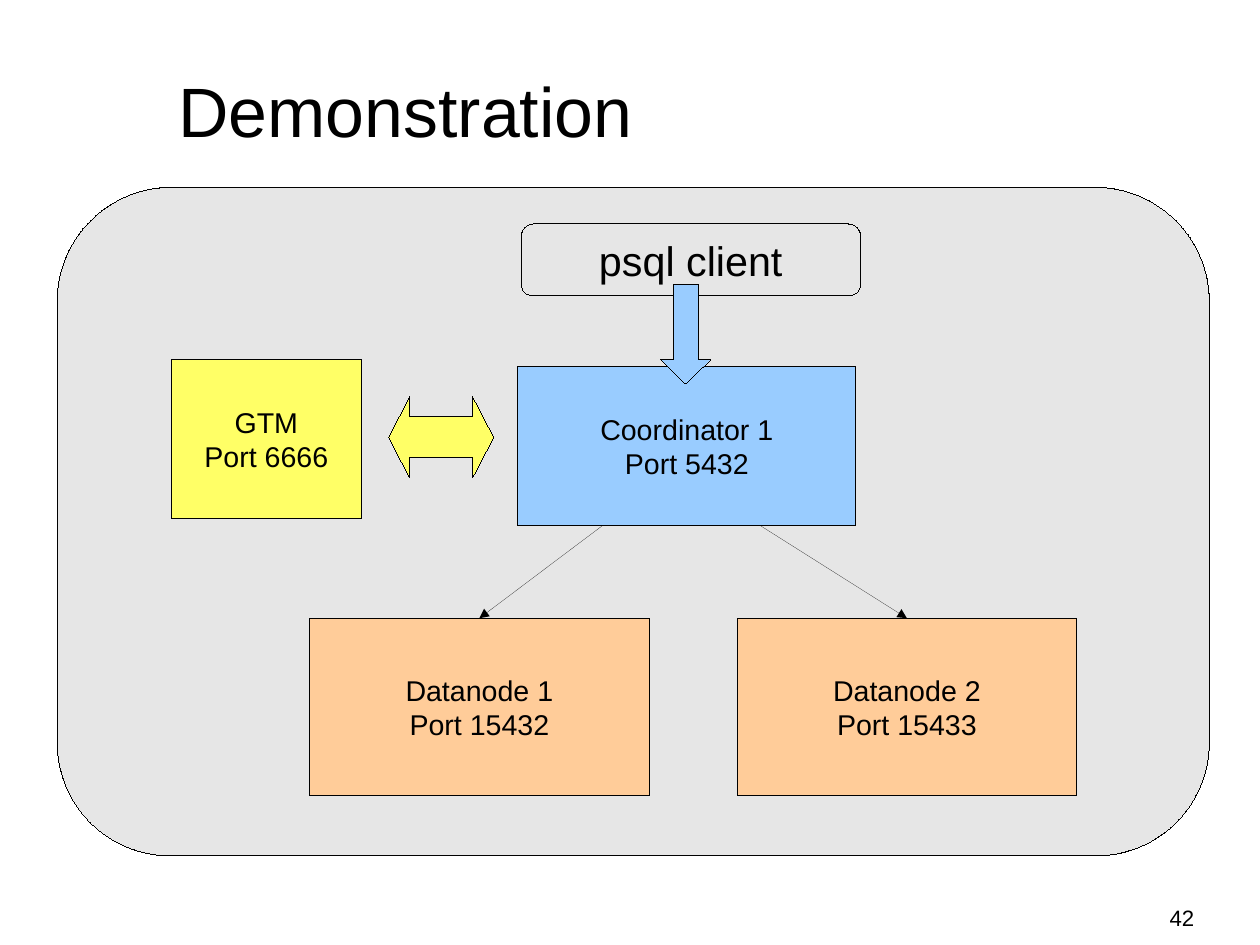
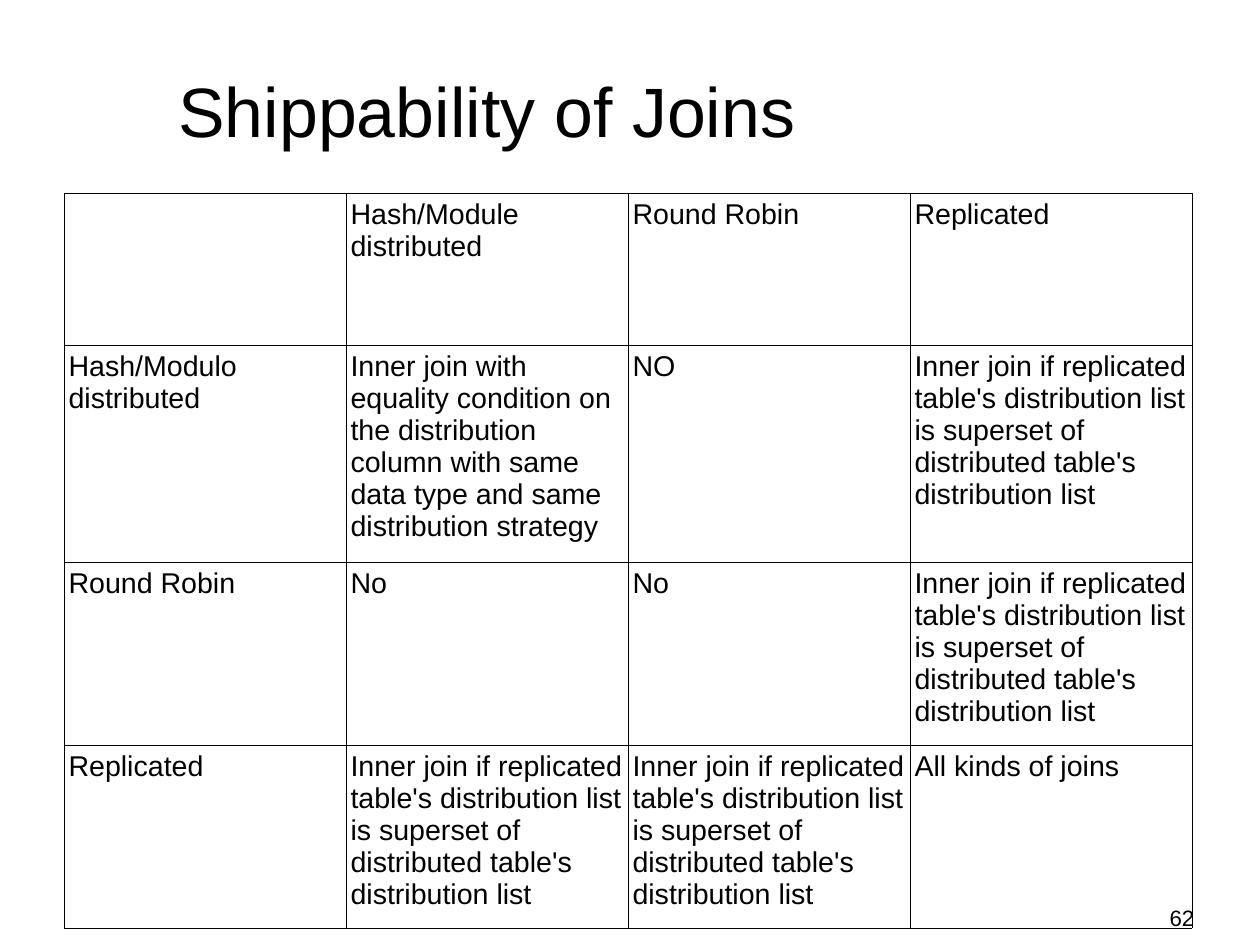
from dataclasses import dataclass
from typing import Any, NamedTuple
from lxml.etree import SubElement
from pptx import Presentation
from pptx.dml.color import RGBColor
from pptx.enum.shapes import MSO_CONNECTOR, MSO_SHAPE
from pptx.enum.text import MSO_ANCHOR, PP_ALIGN
from pptx.oxml.ns import qn
from pptx.util import Inches, Pt

WIDTH, HEIGHT = Pt(793.75), Pt(595.25)
FONT = "Arial"
BLACK, GRAY, BLUE = "000000", "E6E6E6", "99CCFF"
PEACH, YELLOW = "FFCC99", "FFFF66"
HAIR, RULE = Pt(0.01), Pt(0.06)


class Area(NamedTuple):
    """Left, top, width and height in percent of the slide."""
    left: float
    top: float
    width: float
    height: float


@dataclass(frozen=True)
class Block:
    """A filled and outlined shape with centred lines of text."""
    kind: MSO_SHAPE
    area: Area
    fill: str
    lines: tuple[str, ...] = ()
    size: float = 18
    adjust: tuple[float, ...] = ()


TITLE = Area(14.16, 3.26, 82.49, 16.69)
NUMBER = Area(71.48, 95.65, 23.31, 2.66)
GRID = Area(5.08, 20.44, 89.53, 73.16)
ROWS = (16.08, 21.28, 17.9, 17.9)
ROUND = (0.17,)
NODE = Area(24.58, 65.42, 26.94, 18.74)
STEP = 33.93
COORD = Area(41.09, 38.81, 26.85, 16.81)
STARTS = (47.82, 60.34)

BACK = (
    Block(MSO_SHAPE.ROUNDED_RECTANGLE, Area(4.54, 19.83, 91.44, 70.74), GRAY, adjust=ROUND),
    Block(MSO_SHAPE.ROUNDED_RECTANGLE, Area(41.37, 23.7, 26.94, 7.62), GRAY,
          ("psql client",), 26, ROUND),
    Block(MSO_SHAPE.RECTANGLE, COORD, BLUE, ("Coordinator 1", "Port 5432")),
    Block(MSO_SHAPE.DOWN_ARROW, Area(52.43, 30.11, 3.99, 10.52), BLUE, adjust=(0.5, 0.49)),
    Block(MSO_SHAPE.RECTANGLE, Area(13.61, 38.09, 15.06, 16.81), YELLOW, ("GTM", "Port 6666")),
    Block(MSO_SHAPE.LEFT_RIGHT_ARROW, Area(30.84, 41.96, 8.35, 8.59), YELLOW,
          adjust=(0.5, 0.26)),
)

SUPER = ("Inner join if replicated table's distribution list is superset of "
         "distributed table's distribution list")
EQUAL = ("Inner join with equality condition on the distribution column with same "
         "data type and same distribution strategy")
JOINS = (
    ("", "Hash/Module distributed", "Round Robin", "Replicated"),
    ("Hash/Modulo distributed", EQUAL, "NO", SUPER),
    ("Round Robin", "No", "No", SUPER),
    ("Replicated", SUPER, SUPER, "All kinds of joins"),
)


def paint(code: str) -> RGBColor:
    """Turn a hex string into a colour."""
    return RGBColor.from_string(code)


def across(share: float) -> int:
    """Turn a percentage of the slide width into a length."""
    return round(WIDTH * share / 100)


def down(share: float) -> int:
    """Turn a percentage of the slide height into a length."""
    return round(HEIGHT * share / 100)


def place(area: Area) -> tuple[int, int, int, int]:
    """Turn an area into lengths."""
    return across(area.left), down(area.top), across(area.width), down(area.height)


def write(frame: Any, lines: tuple[str, ...], size: float, align: PP_ALIGN) -> None:
    """Write one paragraph for each line."""
    for index, line in enumerate(lines):
        para = frame.add_paragraph() if index else frame.paragraphs[0]
        para.alignment = align
        run = para.add_run()
        run.text = line
        run.font.size = Pt(size)
        run.font.name = FONT
        run.font.color.rgb = paint(BLACK)


def label(slide: Any, area: Area, text: str, size: float, align: PP_ALIGN,
          anchor: MSO_ANCHOR) -> None:
    """Add a text box without insets."""
    frame = slide.shapes.add_textbox(*place(area)).text_frame
    frame.word_wrap = True
    frame.margin_left = frame.margin_right = frame.margin_top = frame.margin_bottom = 0
    frame.vertical_anchor = anchor
    write(frame, (text,), size, align)


def draw(slide: Any, block: Block) -> Any:
    """Add one block."""
    shape = slide.shapes.add_shape(block.kind, *place(block.area))
    shape.shadow.inherit = False
    for index, value in enumerate(block.adjust):
        shape.adjustments[index] = value
    shape.fill.solid()
    shape.fill.fore_color.rgb = paint(block.fill)
    shape.line.color.rgb = paint(BLACK)
    shape.line.width = HAIR
    frame = shape.text_frame
    frame.word_wrap = False
    frame.vertical_anchor = MSO_ANCHOR.MIDDLE
    write(frame, block.lines, block.size, PP_ALIGN.CENTER)
    return shape


def link(slide: Any, start: float, node: Any) -> None:
    """Draw an arrow from the coordinator's lower edge to the top of a node."""
    top = down(COORD.top + COORD.height)
    line = slide.shapes.add_connector(MSO_CONNECTOR.STRAIGHT, across(start), top,
                                      node.left + node.width // 2, node.top)
    line.end_connect(node, 0)
    line.line.color.rgb = paint(BLACK)
    line.line.width = HAIR
    props = line._element.spPr
    SubElement(props.find(qn("a:ln")), qn("a:tailEnd"), type="triangle")
    SubElement(props, qn("a:effectLst"))


def border(cell: Any) -> None:
    """Rule all four sides of a cell."""
    props = cell._tc.get_or_add_tcPr()
    for side in ("lnL", "lnR", "lnT", "lnB"):
        rule = SubElement(props, qn(f"a:{side}"), w=str(int(RULE)))
        SubElement(SubElement(rule, qn("a:solidFill")), qn("a:srgbClr"), val=BLACK)


def tabulate(slide: Any) -> None:
    """Add the table of joins."""
    table = slide.shapes.add_table(len(JOINS), len(JOINS[0]), *place(GRID)).table
    table.first_row = table.horz_banding = False
    for column in table.columns:
        column.width = across(GRID.width / len(JOINS[0]))
    for row, share, texts in zip(table.rows, ROWS, JOINS):
        row.height = down(share)
        for cell, text in zip(row.cells, texts):
            cell.margin_left = cell.margin_right = Inches(0.04)
            cell.margin_top = cell.margin_bottom = Inches(0.05)
            border(cell)
            cell.fill.background()
            if text:
                write(cell.text_frame, (text,), 18, PP_ALIGN.LEFT)


def begin(deck: Any, title: str) -> Any:
    """Add a blank slide with its title."""
    slide = deck.slides.add_slide(deck.slide_layouts[6])
    label(slide, TITLE, title, 44, PP_ALIGN.LEFT, MSO_ANCHOR.MIDDLE)
    return slide


def number(slide: Any, page: int) -> None:
    """Add the page number."""
    label(slide, NUMBER, str(page), 14, PP_ALIGN.RIGHT, MSO_ANCHOR.TOP)


def main() -> None:
    """Build and save the deck."""
    deck = Presentation()
    deck.slide_width, deck.slide_height = WIDTH, HEIGHT

    demo = begin(deck, "Demonstration")
    for block in BACK:
        draw(demo, block)
    for index, start in enumerate(STARTS):
        area = NODE._replace(left=NODE.left + index * STEP)
        lines = (f"Datanode {index + 1}", f"Port {15432 + index}")
        link(demo, start, draw(demo, Block(MSO_SHAPE.RECTANGLE, area, PEACH, lines)))
    number(demo, 42)

    joins = begin(deck, "Shippability of Joins")
    tabulate(joins)
    number(joins, 62)
    deck.save("out.pptx")


if __name__ == "__main__":
    main()
